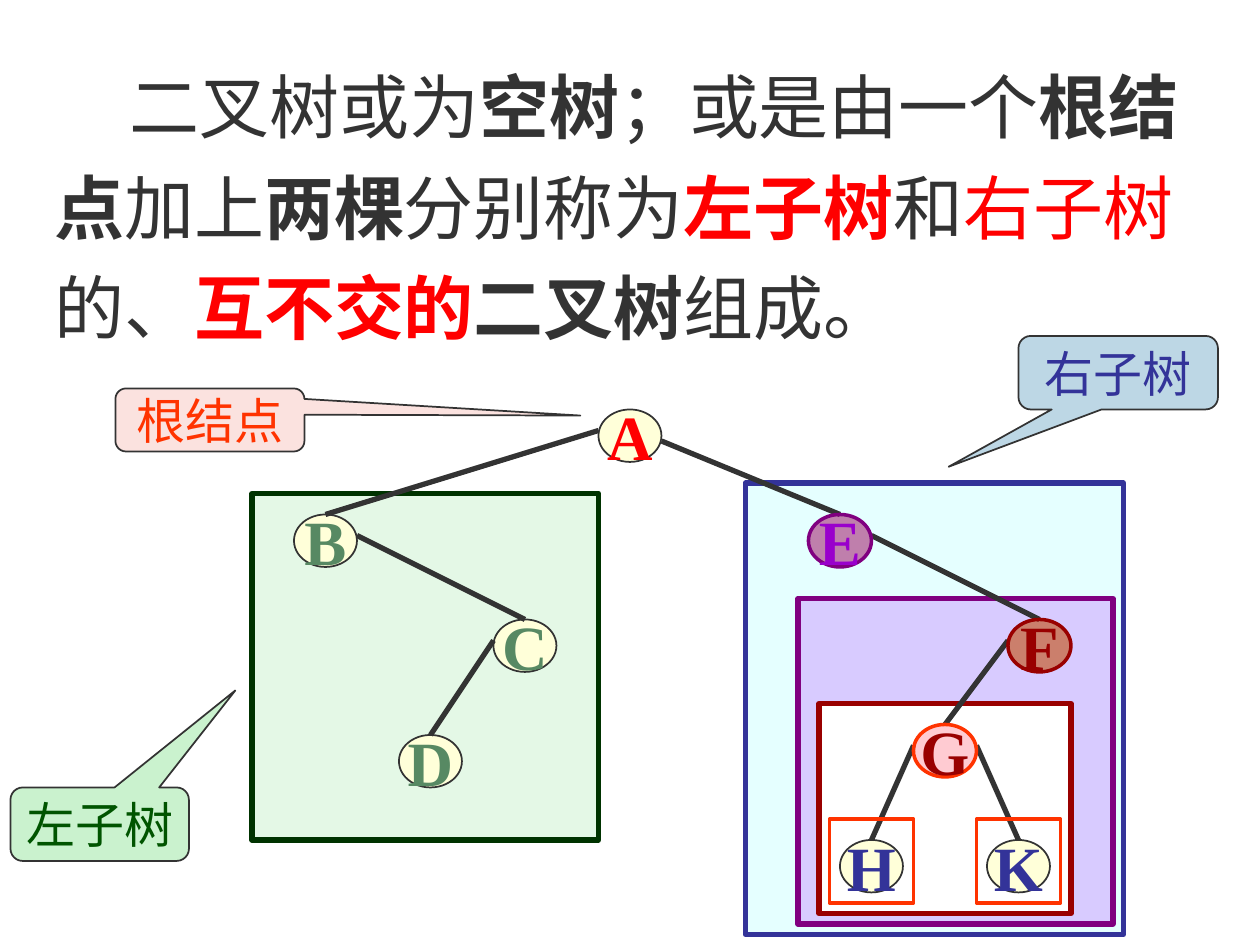
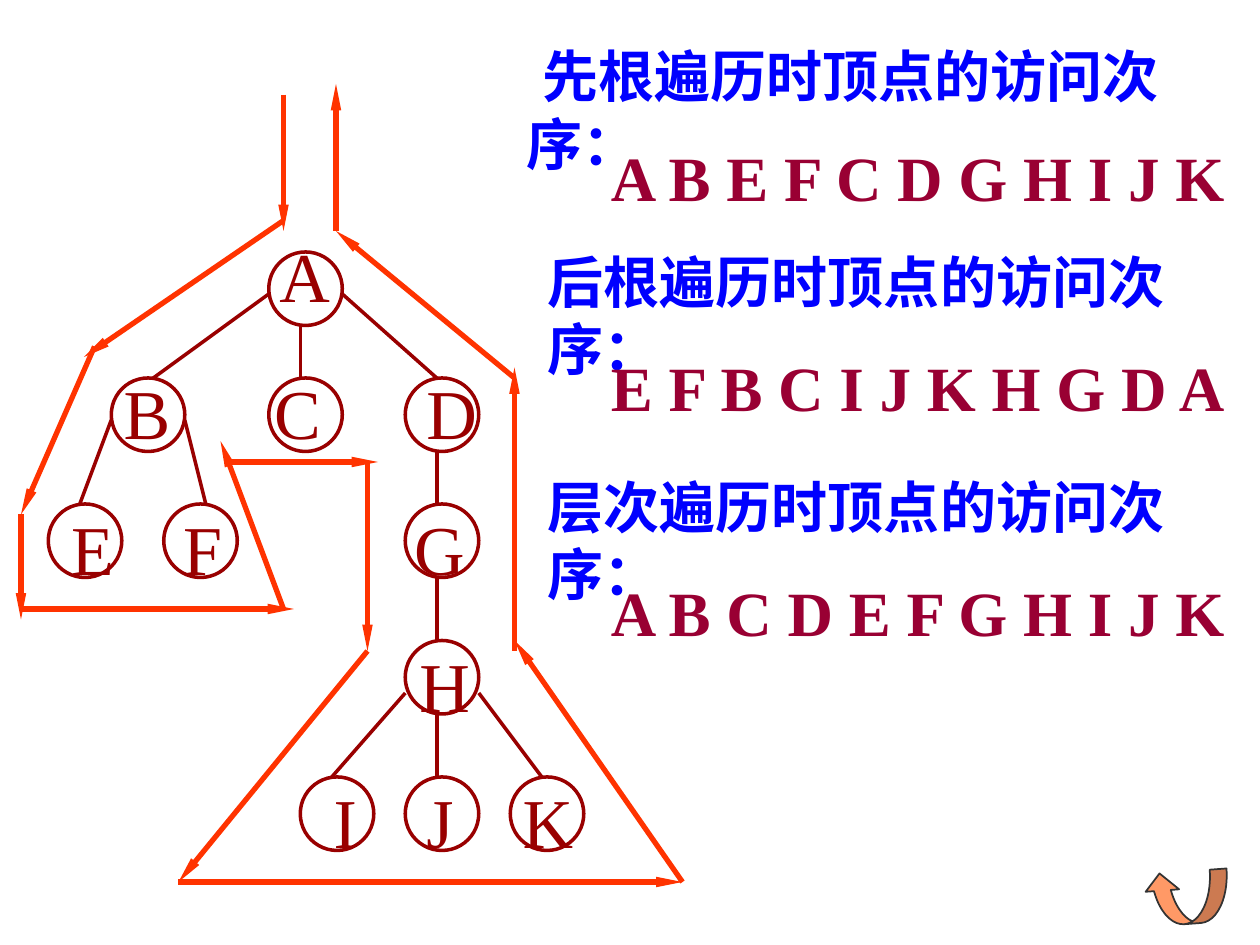
from typing import NamedTuple, Optional

from lxml.etree import SubElement
from pptx import Presentation
from pptx.dml.color import RGBColor
from pptx.enum.shapes import MSO_CONNECTOR, MSO_SHAPE
from pptx.enum.text import MSO_ANCHOR, PP_ALIGN
from pptx.oxml.ns import qn
from pptx.util import Emu, Inches, Pt

SLIDE_WIDTH, SLIDE_HEIGHT = Inches(10), Inches(7.5)
COLUMNS, ROWS = 120, 90
FONT = "Times New Roman"

INK = RGBColor(0x33, 0x33, 0x33)
RED = RGBColor(0xFF, 0x00, 0x00)
BLUE = RGBColor(0x00, 0x00, 0xFF)
NAVY = RGBColor(0x33, 0x33, 0x99)
MAROON = RGBColor(0x99, 0x00, 0x00)
CRIMSON = RGBColor(0x99, 0x00, 0x33)
ORANGE = RGBColor(0xFF, 0x33, 0x00)
PEACH = RGBColor(0xFF, 0x99, 0x66)
PURPLE = RGBColor(0x80, 0x00, 0x80)
VIOLET = RGBColor(0x99, 0x00, 0xCC)
LILAC = RGBColor(0xCC, 0x99, 0xFF)
PINK = RGBColor(0xFF, 0x99, 0xCC)
BLUSH = RGBColor(0xFB, 0xE2, 0xDF)
CREAM = RGBColor(0xFF, 0xFF, 0xD9)
AQUA = RGBColor(0xCC, 0xFF, 0xFF)
SKY = RGBColor(0xBD, 0xD7, 0xE5)
MINT = RGBColor(0xCA, 0xF2, 0xCE)
SAGE = RGBColor(0x57, 0x89, 0x63)
GREEN = RGBColor(0x00, 0x54, 0x00)
FOREST = RGBColor(0x00, 0x33, 0x00)
WHITE = RGBColor(0xFF, 0xFF, 0xFF)


class Area(NamedTuple):
    col: float
    row: float
    width: float
    height: float


class Paint(NamedTuple):
    fill: Optional[RGBColor]
    line: RGBColor
    weight: float
    opacity: int = 100


class Span(NamedTuple):
    text: str
    color: RGBColor
    size: float
    bold: bool = False


class Edge(NamedTuple):
    """Leaves the parent's side `drop` rows down, ends `reach` columns into the child's top."""
    parent: str
    child: str
    drop: float
    reach: float = 3


class Callout(NamedTuple):
    area: Area
    label: Span
    fill: RGBColor
    tip: tuple


class Traversal(NamedTuple):
    title: str
    title_area: Area
    indent: float
    order: str
    order_row: float


def across(columns: float) -> Emu:
    return Emu(round(SLIDE_WIDTH * columns / COLUMNS))


def down(rows: float) -> Emu:
    return Emu(round(SLIDE_HEIGHT * rows / ROWS))


def place(area: Area) -> tuple:
    return across(area.col), down(area.row), across(area.width), down(area.height)


def add_span(paragraph, span: Span) -> None:
    run = paragraph.add_run()
    run.text = span.text
    run.font.name = FONT
    run.font.size = Pt(span.size)
    run.font.bold = span.bold
    run.font.color.rgb = span.color


def draw_shape(slide, kind, area: Area, paint: Paint, label: Optional[Span] = None):
    shape = slide.shapes.add_shape(kind, *place(area))
    shape.shadow.inherit = False
    if paint.fill is None:
        shape.fill.background()
    else:
        shape.fill.solid()
        shape.fill.fore_color.rgb = paint.fill
        if paint.opacity < 100:
            color = shape.fill._xPr.find(qn("a:solidFill"))[0]
            SubElement(color, qn("a:alpha"), val=str(paint.opacity * 1000))
    shape.line.color.rgb = paint.line
    shape.line.width = Pt(paint.weight)
    if label:
        frame = shape.text_frame
        frame.word_wrap = False
        frame.vertical_anchor = MSO_ANCHOR.MIDDLE
        frame.paragraphs[0].alignment = PP_ALIGN.CENTER
        add_span(frame.paragraphs[0], label)
    return shape


def draw_line(slide, start: tuple, end: tuple, color: RGBColor, weight: float, arrow: bool = False):
    line = slide.shapes.add_connector(MSO_CONNECTOR.STRAIGHT, across(start[0]), down(start[1]),
                                      across(end[0]), down(end[1]))
    line.line.color.rgb = color
    line.line.width = Pt(weight)
    if arrow:
        SubElement(line.line._get_or_add_ln(), qn("a:tailEnd"), type="triangle", w="sm", len="lg")
    SubElement(line._element.spPr, qn("a:effectLst"))
    return line


def draw_edges(slide, edges: list, areas: dict, ovals: dict, color: RGBColor, weight: float) -> None:
    for edge in edges:
        parent, child = areas[edge.parent], areas[edge.child]
        if child.col == parent.col:
            start = (parent.col + edge.reach, parent.row + parent.height)
        else:
            side = parent.width if child.col > parent.col else 0
            start = (parent.col + side, parent.row + edge.drop)
        line = draw_line(slide, start, (child.col + edge.reach, child.row), color, weight)
        if edge.reach == child.width / 2:
            line.end_connect(ovals[edge.child], 0)


def add_text(slide, area: Area, spans: list, indent: float = 0, wrap: bool = True):
    """Adds a text box whose punctuation stays inside the right margin."""
    frame = slide.shapes.add_textbox(*place(area)).text_frame
    frame.word_wrap = wrap
    paragraph = frame.paragraphs[0]
    properties = paragraph._p.get_or_add_pPr()
    properties.set("hangingPunct", "0")
    if indent:
        properties.set("indent", str(Pt(indent)))
    for span in spans:
        add_span(paragraph, span)
    return frame


# Slide 1: definition of a binary tree

DEFINITION = [
    Span("二叉树或为", INK, 40), Span("空树", INK, 40, True),
    Span("；或是由一个", INK, 40), Span("根结点", INK, 40, True),
    Span("加上", INK, 40), Span("两棵", INK, 40, True),
    Span("分别称为", INK, 40), Span("左子树", RED, 40, True),
    Span("和", INK, 40), Span("右子树", RED, 40), Span("的、", INK, 40),
    Span("互不交的", RED, 40, True), Span("二叉树", INK, 40, True), Span("组成。", INK, 40),
]
OUTER_SUBTREES = [
    (Area(71, 46, 36, 43), Paint(AQUA, NAVY, 3, 50)),
    (Area(24, 47, 33, 33), Paint(MINT, FOREST, 3, 50)),
]
INNER_SUBTREES = [
    (Area(76, 57, 30, 31), Paint(LILAC, PURPLE, 3, 50)),
    (Area(78, 67, 24, 20), Paint(WHITE, MAROON, 3)),
]
BINARY_NODES = {name: Area(col, row, 6, 5) for name, col, row in [
    ("A", 57, 39), ("B", 28, 49), ("C", 47, 59), ("D", 38, 70), ("E", 77, 49),
    ("F", 96, 59), ("G", 87, 69), ("H", 80, 80), ("K", 94, 80)]}
LETTER_COLORS = {"A": RED, "B": SAGE, "C": SAGE, "D": SAGE, "H": NAVY, "K": NAVY}
SUBTREE_ROOTS = {
    "E": (VIOLET, Paint(PURPLE, PURPLE, 2, 50)),
    "F": (MAROON, Paint(MAROON, MAROON, 2, 50)),
    "G": (MAROON, Paint(PINK, ORANGE, 2, 50)),
}
BINARY_EDGES = [Edge("A", "B", 2), Edge("B", "C", 2), Edge("C", "D", 2), Edge("A", "E", 3),
                Edge("E", "F", 2), Edge("F", "G", 2), Edge("G", "H", 2), Edge("G", "K", 2)]
CALLOUTS = [
    Callout(Area(11, 37, 18, 6), Span("根结点", ORANGE, 28), BLUSH, (1.96, -0.07)),
    Callout(Area(1, 75, 17, 7), Span("左子树", GREEN, 28), MINT, (0.76, -1.82)),
    Callout(Area(97, 32, 19, 7), Span("右子树", NAVY, 28), SKY, (-0.85, 1.28)),
]


def build_definition(slide) -> None:
    for area, paint in OUTER_SUBTREES:
        draw_shape(slide, MSO_SHAPE.RECTANGLE, area, paint)
    definition = add_text(slide, Area(4, 3.85, 113, 30), DEFINITION, indent=43)
    definition.paragraphs[0].line_spacing = 1.2
    for area, paint in INNER_SUBTREES:
        draw_shape(slide, MSO_SHAPE.RECTANGLE, area, paint)

    ovals = {}
    for name, area in BINARY_NODES.items():
        color = LETTER_COLORS.get(name)
        letter = Span(name, color, 36, True) if color else None
        ovals[name] = draw_shape(slide, MSO_SHAPE.OVAL, area, Paint(CREAM, INK, 1), letter)
    draw_edges(slide, BINARY_EDGES, BINARY_NODES, ovals, INK, 3)

    for callout in CALLOUTS:
        bubble = draw_shape(slide, MSO_SHAPE.ROUNDED_RECTANGULAR_CALLOUT, callout.area,
                            Paint(callout.fill, INK, 1), callout.label)
        bubble.adjustments[0], bubble.adjustments[1] = callout.tip
    for name, (color, paint) in SUBTREE_ROOTS.items():
        draw_shape(slide, MSO_SHAPE.OVAL, BINARY_NODES[name], paint, Span(name, color, 36, True))
    for leaf in ("H", "K"):
        node = BINARY_NODES[leaf]
        draw_shape(slide, MSO_SHAPE.RECTANGLE, Area(node.col - 1, node.row - 2, 8, 8),
                   Paint(None, ORANGE, 2))


# Slide 2: traversal orders of a tree

TREE_NODES = {name: Area(col, row, 7, 7) for name, col, row in [
    ("A", 25.6, 24), ("B", 10.6, 36), ("C", 25.6, 36), ("D", 38.6, 36), ("E", 4.6, 48),
    ("F", 15.6, 48), ("G", 38.6, 48), ("H", 38.6, 61), ("I", 28.6, 74), ("J", 38.6, 74),
    ("K", 48.6, 74)]}
TREE_EDGES = [Edge("A", "C", 4), Edge("A", "B", 4, 4), Edge("A", "D", 4), Edge("B", "E", 4),
              Edge("B", "F", 4, 4), Edge("D", "G", 4), Edge("G", "H", 4), Edge("H", "J", 5),
              Edge("H", "I", 5), Edge("H", "K", 5)]
# Letters of each level with their tab stops in points
LEVELS = [
    {"A": 119},
    {"B": 30, "C": 116, "D": 203},
    {"E": 0, "F": 64, "G": 196},
    {"H": 199},
    {"I": 150, "J": 203, "K": 258},
]
ROUTE = [
    ((27, 9), (27, 22)), ((27, 21), (8, 34)), ((9, 33), (2, 49)), ((2, 49), (2, 59)),
    ((2, 58), (28, 58)), ((27, 58), (21, 42)), ((22, 44), (36, 44)), ((35, 44), (35, 62)),
    ((35, 62), (17, 84)), ((17, 84), (65, 84)), ((65, 84), (49, 61)), ((49, 62), (49, 35)),
    ((49, 36), (32, 22)), ((32, 22), (32, 8)),
]
TRAVERSALS = [
    Traversal("先根遍历时顶点的访问次序：", Area(49, 3.4, 70, 9), 9, "A B E F C D G H I J K", 12.6),
    Traversal("后根遍历时顶点的访问次序：", Area(51, 23, 69, 8), 0, "E F B C I J K H G D A", 32.6),
    Traversal("层次遍历时顶点的访问次序：", Area(51, 44.4, 67, 8), 0, "A B C D E F G H I J K", 54),
]


def add_level_letters(slide) -> None:
    frame = add_text(slide, Area(5.6, 21.6, 50.4, 61), [])
    for depth, level in enumerate(LEVELS):
        paragraph = frame.add_paragraph() if depth else frame.paragraphs[0]
        if depth:
            paragraph.space_before = Pt(30)
        stops = SubElement(paragraph._p.get_or_add_pPr(), qn("a:tabLst"))
        for letter, stop in level.items():
            if stop:
                SubElement(stops, qn("a:tab"), pos=str(Pt(stop)), algn="l")
            add_span(paragraph, Span("\t" + letter if stop else letter, MAROON, 40))


def build_traversals(slide) -> None:
    add_level_letters(slide)
    ovals = {name: draw_shape(slide, MSO_SHAPE.OVAL, area, Paint(None, MAROON, 2))
             for name, area in TREE_NODES.items()}
    draw_edges(slide, TREE_EDGES, TREE_NODES, ovals, MAROON, 2)
    for start, end in ROUTE:
        draw_line(slide, start, end, ORANGE, 3, arrow=True)
    for item in TRAVERSALS:
        add_text(slide, item.title_area, [Span(item.title, BLUE, 32, True)], item.indent)
        add_text(slide, Area(57, item.order_row, 61.3, 8.4),
                 [Span(item.order, CRIMSON, 36, True)], wrap=False)
    back = draw_shape(slide, MSO_SHAPE.CURVED_LEFT_ARROW, Area(110.5, 81.5, 5, 8),
                      Paint(PEACH, INK, 1))
    back.rotation = 85.8
    back.adjustments[0], back.adjustments[1], back.adjustments[2] = 0.32, 0.64, 0.33


def main() -> None:
    deck = Presentation()
    deck.slide_width, deck.slide_height = SLIDE_WIDTH, SLIDE_HEIGHT
    for build in (build_definition, build_traversals):
        build(deck.slides.add_slide(deck.slide_layouts[6]))
    deck.save("out.pptx")


if __name__ == "__main__":
    main()
